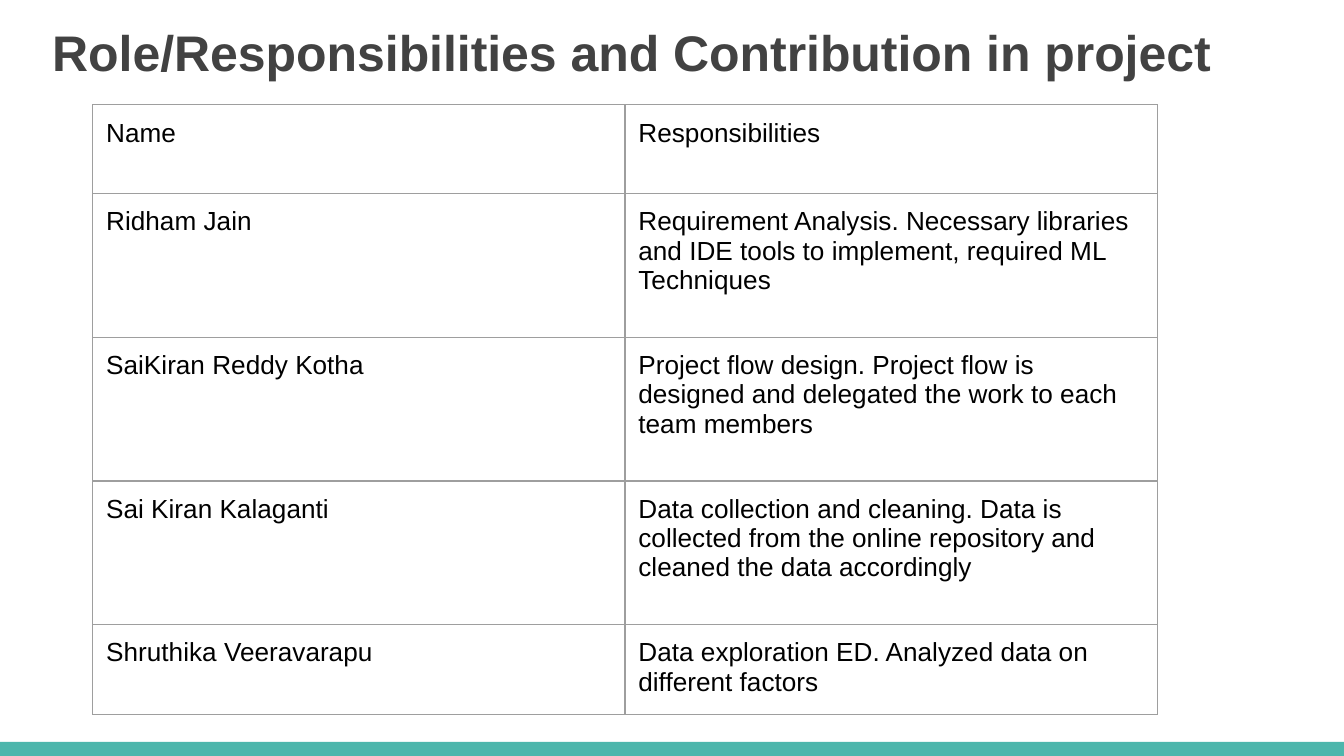
import pptx
import pptx.dml.color
import pptx.enum.shapes
import pptx.enum.text
import pptx.oxml
import pptx.oxml.ns
import pptx.util

Inches = pptx.util.Inches


def rgb(value):
    """Turn a hex string into a colour."""
    return pptx.dml.color.RGBColor.from_string(value)


def add_borders(cell, color, width):
    """Draw a solid line on all four sides of a cell."""
    tc_pr = cell._tc.get_or_add_tcPr()
    for i, side in enumerate(("lnL", "lnR", "lnT", "lnB")):
        tc_pr.insert(i, pptx.oxml.parse_xml(
            f'<a:{side} {pptx.oxml.ns.nsdecls("a")} w="{pptx.util.Pt(width)}">'
            f'<a:solidFill><a:srgbClr val="{color}"/></a:solidFill></a:{side}>'))


# Widescreen slide, 16:9
prs = pptx.Presentation()
prs.slide_width, prs.slide_height = Inches(10), Inches(10 * 9 / 16)
s = prs.slides.add_slide(prs.slide_layouts[6])

# Footer band, down to the bottom edge
band_top = Inches(5.52)
band = s.shapes.add_shape(pptx.enum.shapes.MSO_SHAPE.RECTANGLE, 0, band_top,
                          prs.slide_width, prs.slide_height - band_top)
band.shadow.inherit = False
band.fill.solid()
band.fill.fore_color.rgb = rgb("4DB6AC")
band.line.fill.background()

# Title
title = s.shapes.add_textbox(Inches(0.29), Inches(0.06), Inches(9.32), Inches(0.77))
tf = title.text_frame
tf.word_wrap = True
tf.vertical_anchor = pptx.enum.text.MSO_ANCHOR.TOP
tf.margin_left = tf.margin_right = tf.margin_top = tf.margin_bottom = Inches(0.1)
p = tf.paragraphs[0]
p.text = "Role/Responsibilities and Contribution in project"
p.font.name, p.font.size, p.font.bold = "Arial", pptx.util.Pt(26.8), True
p.font.color.rgb = rgb("424242")

# Responsibilities table: row height, name, responsibility
rows = [
    (0.66, "Name", "Responsibilities"),
    (1.07, "Ridham Jain", "Requirement Analysis. Necessary libraries and IDE tools "
     "to implement, required ML Techniques"),
    (1.07, "SaiKiran Reddy Kotha", "Project flow design. Project flow is designed and "
     "delegated the work to each team members"),
    (1.07, "Sai Kiran Kalaganti", "Data collection and cleaning. Data is collected from "
     "the online repository and cleaned the data accordingly"),
    (0.66, "Shruthika Veeravarapu", "Data exploration ED. Analyzed data on different factors"),
]
table = s.shapes.add_table(len(rows), 2, Inches(0.69), Inches(0.78), Inches(7.92),
                           Inches(sum(row[0] for row in rows))).table
table.first_row = table.horz_banding = False
for r, (height, *texts) in enumerate(rows):
    table.rows[r].height = Inches(height)
    for c, text in enumerate(texts):
        cell = table.cell(r, c)
        cell.margin_left = cell.margin_right = Inches(0.1)
        cell.margin_top = cell.margin_bottom = Inches(0.1)
        cell.fill.background()
        add_borders(cell, "9E9E9E", 0.75)
        p = cell.text_frame.paragraphs[0]
        p.text = text
        p.font.name, p.font.size = "Arial", pptx.util.Pt(14)
        p.font.color.rgb = rgb("000000")

prs.save("out.pptx")
